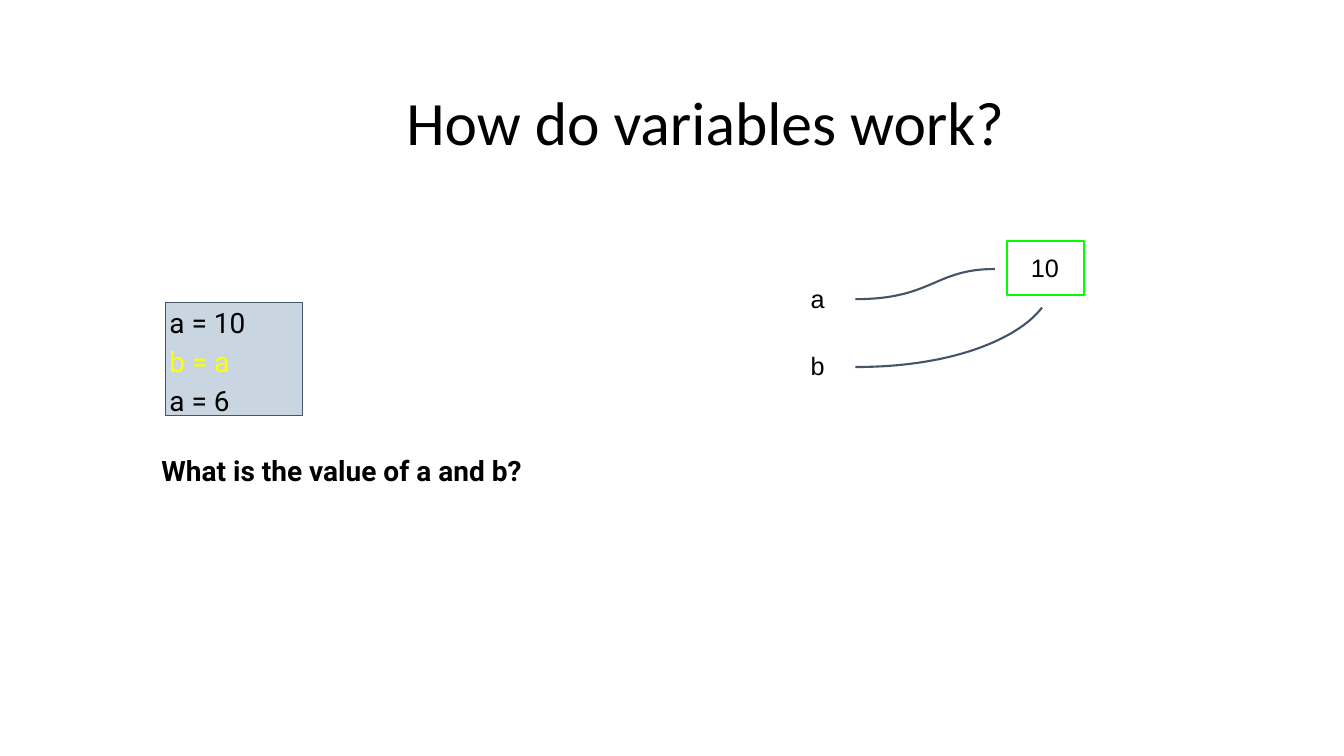
"""Build a slide showing how two variable names refer to one value."""
from pptx import Presentation
from pptx.dml.color import RGBColor
from pptx.enum import shapes, text
from pptx.oxml.xmlchemy import OxmlElement
from pptx.util import Cm, Pt

BLACK, YELLOW, GREEN, SLATE, NAVY = "000000", "FFFF00", "00FF00", "445469", "0B4679"

TITLE = "How do variables work?"
TITLE_AREA = (10.21, 2.08, 15.14, 1.9)
CODE = [("a = 10", BLACK), ("b = a", YELLOW), ("a = 6", BLACK)]
CODE_AREA = (4.17, 7.62, 3.45, 2.84)
VALUE = "10"
VALUE_AREA = (25.37, 6.07, 1.96, 1.37)
QUESTION = "What is the value of a and b?"
QUESTION_AREA = (4.04, 11.4, 9.93, 0.91)
NAMES = [
    ("a", 7.11, [(21.56, 7.54), (23.5, 7.54), (23.55, 6.78), (25.07, 6.78)]),
    ("b", 8.81, [(21.56, 9.25), (24.21, 9.25), (25.76, 8.43), (26.26, 7.75)]),
]
NAME_LEFT, NAME_WIDTH, NAME_HEIGHT = 20.4, 0.43, 0.84
CURVE_STEPS = 32


def rgb(color):
    return RGBColor.from_string(color)


def write(part, lines, font, size, inset=(0.03, 0.03), before=1, spacing=1.0,
          bold=False, anchor=text.MSO_ANCHOR.TOP):
    frame = part.text_frame
    frame.word_wrap = True
    frame.auto_size = text.MSO_AUTO_SIZE.NONE
    frame.vertical_anchor = anchor
    frame.margin_left, frame.margin_top = map(Cm, inset)
    frame.margin_right = frame.margin_bottom = 0
    for index, (words, color) in enumerate(lines):
        paragraph = frame.add_paragraph() if index else frame.paragraphs[0]
        paragraph.alignment = text.PP_ALIGN.LEFT
        paragraph.space_before = Pt(0 if index else before)
        paragraph.line_spacing = spacing if index else 1.0
        run = paragraph.add_run()
        run.text = words
        run.font.name, run.font.size, run.font.bold = font, Pt(size), bold
        run.font.color.rgb = rgb(color)


def outline(part, color, width):
    part.shadow.inherit = False
    part.line.color.rgb = rgb(color)
    part.line.width = Pt(width)


def add_box(slide, area, color, width):
    box = slide.shapes.add_shape(shapes.MSO_SHAPE.RECTANGLE, *map(Cm, area))
    outline(box, color, width)
    box.fill.background()
    return box


def add_label(slide, area, words, font, size, bold=False):
    label = slide.shapes.add_textbox(*map(Cm, area))
    write(label, [(words, BLACK)], font, size, bold=bold)


def bezier(controls, t):
    weights = ((1 - t) ** 3, 3 * t * (1 - t) ** 2, 3 * t ** 2 * (1 - t), t ** 3)
    return tuple(Cm(sum(w * v for w, v in zip(weights, axis))) for axis in zip(*controls))


def add_curve(slide, controls):
    points = [bezier(controls, step / CURVE_STEPS) for step in range(CURVE_STEPS + 1)]
    builder = slide.shapes.build_freeform(*points[0])
    builder.add_line_segments(points[1:], close=False)
    curve = builder.convert_to_shape()
    curve.fill.background()
    outline(curve, SLATE, 1.5)


def main():
    deck = Presentation()
    deck.slide_width, deck.slide_height = Cm(33.87), Cm(19.05)
    slide = deck.slides.add_slide(deck.slide_layouts[5])

    title = slide.shapes.title
    title.left, title.top, title.width, title.height = map(Cm, TITLE_AREA)
    write(title, [(TITLE, BLACK)], "Calibri", 44, anchor=text.MSO_ANCHOR.MIDDLE)

    value = add_box(slide, VALUE_AREA, GREEN, 1.5)
    write(value, [(VALUE, BLACK)], "Arial", 18, inset=(0.61, 0.28), before=7.9)

    code = add_box(slide, CODE_AREA, SLATE, 0.75)
    code.fill.solid()
    code.fill.fore_color.rgb = rgb(NAVY)
    alpha = OxmlElement("a:alpha")
    alpha.set("val", "22000")
    code.fill._xPr.find(".//{*}solidFill/{*}srgbClr").append(alpha)
    write(code, CODE, "Roboto", 20, inset=(0.1, 0.08), before=2.2, spacing=1.16)

    for name, top, controls in NAMES:
        add_label(slide, (NAME_LEFT, top, NAME_WIDTH, NAME_HEIGHT), name, "Arial", 18)
        add_curve(slide, controls)

    add_label(slide, QUESTION_AREA, QUESTION, "Roboto", 20, bold=True)
    deck.save("out.pptx")


if __name__ == "__main__":
    main()
